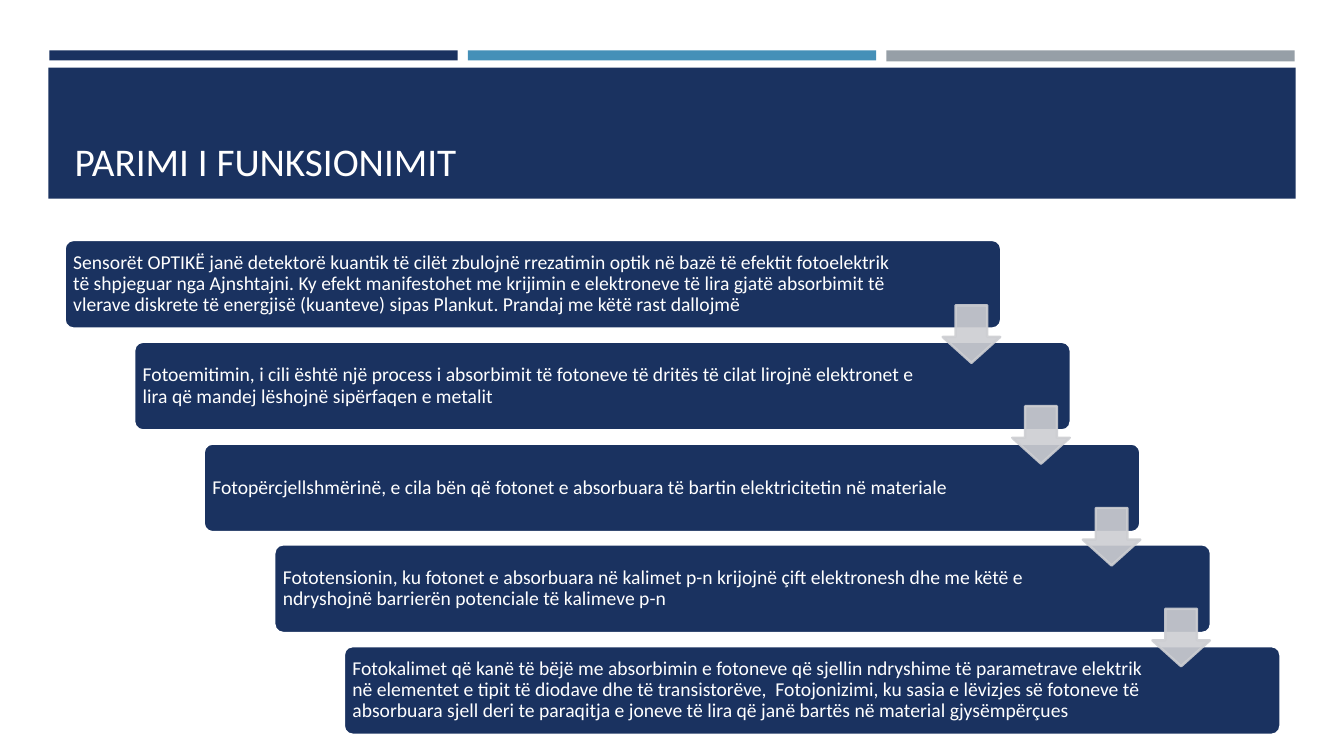
"""Build the slide that explains the working principle of optical sensors."""
from dataclasses import dataclass

from lxml.etree import SubElement
from pptx import Presentation
from pptx.dml.color import RGBColor
from pptx.enum.shapes import MSO_SHAPE
from pptx.enum.text import MSO_ANCHOR, MSO_AUTO_SIZE, PP_ALIGN
from pptx.oxml.ns import qn
from pptx.shapes.autoshape import Shape
from pptx.slide import Slide
from pptx.util import Emu, Pt

EMU_PER_PX = 9144


@dataclass(frozen=True)
class Theme:
    navy: str = "1A3260"
    blue: str = "4590B8"
    grey: str = "969FA7"
    arrow: str = "CDCED2"
    white: str = "FFFFFF"
    font: str = "Calibri"
    title_size: int = 28
    step_size: int = 14
    outline: float = 1.75
    arrow_opacity: int = 90


@dataclass(frozen=True)
class Box:
    left: int
    top: int
    width: int
    height: int


@dataclass(frozen=True)
class Band:
    box: Box
    color: str


@dataclass(frozen=True)
class Step:
    text: str
    right_inset: int = 132


THEME = Theme()

BANDS = (
    Band(Box(49, 50, 405, 10), THEME.navy),
    Band(Box(464, 50, 405, 10), THEME.blue),
    Band(Box(879, 50, 405, 11), THEME.grey),
    Band(Box(48, 67, 1237, 130), THEME.navy),
)

STEPS = (
    Step("Sensorët OPTIKË janë detektorë kuantik të cilët zbulojnë rrezatimin optik në bazë "
         "të efektit fotoelektrik të shpjeguar nga Ajnshtajni. Ky efekt manifestohet me "
         "krijimin e elektroneve të lira gjatë absorbimit të vlerave diskrete të energjisë "
         "(kuanteve) sipas Plankut. Prandaj me këtë rast dallojmë", right_inset=107),
    Step("Fotoemitimin, i cili është një process i absorbimit të fotoneve të dritës të cilat "
         "lirojnë elektronet e lira që mandej lëshojnë sipërfaqen e metalit"),
    Step("Fotopërcjellshmërinë, e cila bën që fotonet e absorbuara të bartin elektricitetin "
         "në materiale"),
    Step("Fototensionin, ku fotonet e absorbuara në kalimet p-n krijojnë çift elektronesh "
         "dhe me këtë e ndryshojnë barrierën potenciale të kalimeve p-n"),
    Step("Fotokalimet që kanë të bëjë me absorbimin e fotoneve që sjellin ndryshime të "
         "parametrave elektrik në elementet e tipit të diodave dhe të transistorëve,  "
         "Fotojonizimi, ku sasia e lëvizjes së fotoneve të absorbuara sjell deri te "
         "paraqitja e joneve të lira që janë bartës në material gjysëmpërçues"),
)

FIRST_STEP, LAST_STEP = Box(64, 238, 929, 88), Box(341, 641, 929, 88)
FIRST_ARROW, LAST_ARROW = Box(935, 303, 57, 57), Box(1143, 604, 57, 57)


def px(length: int) -> Emu:
    """Convert whole px to EMU."""
    return Emu(length * EMU_PER_PX)


def spread(first: Box, last: Box, count: int) -> list[Box]:
    """Return evenly stepped boxes from the first to the last."""
    gaps = count - 1
    return [
        Box(first.left + round((last.left - first.left) * i / gaps),
            first.top + round((last.top - first.top) * i / gaps),
            first.width, first.height)
        for i in range(count)
    ]


def place(shape: Shape, box: Box) -> None:
    """Move and size a shape."""
    shape.left, shape.top = px(box.left), px(box.top)
    shape.width, shape.height = px(box.width), px(box.height)


def add_block(slide: Slide, kind: MSO_SHAPE, box: Box, color: str, *,
              outline: str | None = None, adjustments: tuple[float, ...] = (),
              opacity: int = 100) -> Shape:
    """Add a filled preset shape."""
    block = slide.shapes.add_shape(kind, 0, 0, 0, 0)
    place(block, box)
    block.shadow.inherit = False
    for index, value in enumerate(adjustments):
        block.adjustments[index] = value
    block.fill.solid()
    block.fill.fore_color.rgb = RGBColor.from_string(color)
    if outline:
        block.line.color.rgb = RGBColor.from_string(outline)
        block.line.width = Pt(THEME.outline)
    else:
        block.line.fill.background()
    if opacity < 100:
        for tint in block.element.spPr.iter(qn("a:srgbClr")):
            SubElement(tint, qn("a:alpha"), val=str(opacity * 1000))
    return block


def write(shape: Shape, text: str, *, size: int, anchor: MSO_ANCHOR,
          insets: tuple[int, int, int, int], spacing: float = 1.0) -> None:
    """Fill a shape with left-aligned white text."""
    frame = shape.text_frame
    frame.text = text
    frame.word_wrap = True
    frame.auto_size = MSO_AUTO_SIZE.NONE
    frame.vertical_anchor = anchor
    (frame.margin_left, frame.margin_top,
     frame.margin_right, frame.margin_bottom) = map(px, insets)
    paragraph = frame.paragraphs[0]
    paragraph.alignment = PP_ALIGN.LEFT
    paragraph.line_spacing = spacing
    font = paragraph.runs[0].font
    font.name, font.size = THEME.font, Pt(size)
    font.color.rgb = RGBColor.from_string(THEME.white)


def main() -> None:
    """Build and save the presentation."""
    presentation = Presentation()
    presentation.slide_width, presentation.slide_height = px(1333), px(750)
    slide = presentation.slides.add_slide(presentation.slide_layouts[5])

    for band in BANDS:
        add_block(slide, MSO_SHAPE.RECTANGLE, band.box, band.color)

    title = slide.shapes.title
    place(title, Box(64, 77, 1206, 111))
    slide.shapes.element.append(title.element)
    write(title, "PARIMI I FUNKSIONIMIT", size=THEME.title_size,
          anchor=MSO_ANCHOR.BOTTOM, insets=(10, 5, 10, 5))

    for step, box in zip(STEPS, spread(FIRST_STEP, LAST_STEP, len(STEPS))):
        panel = add_block(slide, MSO_SHAPE.ROUNDED_RECTANGLE, box, THEME.navy,
                          outline=THEME.white, adjustments=(0.1,))
        write(panel, step.text, size=THEME.step_size, anchor=MSO_ANCHOR.MIDDLE,
              insets=(6, 6, step.right_inset, 6), spacing=0.9)

    for box in spread(FIRST_ARROW, LAST_ARROW, len(STEPS) - 1):
        add_block(slide, MSO_SHAPE.DOWN_ARROW, box, THEME.arrow, outline=THEME.arrow,
                  adjustments=(0.55, 0.45), opacity=THEME.arrow_opacity)

    presentation.save("out.pptx")


if __name__ == "__main__":
    main()
